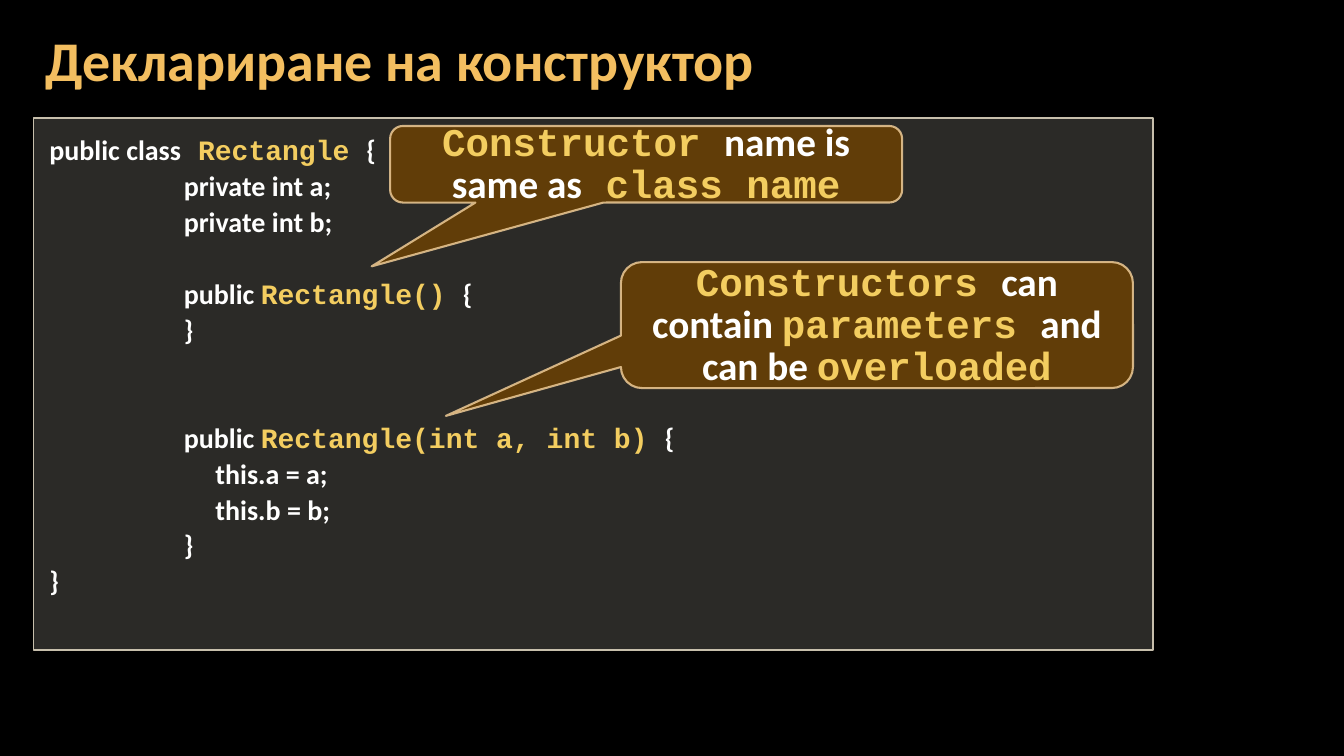
from lxml import etree
from pptx import Presentation
from pptx.dml.color import RGBColor
from pptx.enum.shapes import MSO_SHAPE
from pptx.enum.text import MSO_ANCHOR, PP_ALIGN
from pptx.oxml.ns import qn
from pptx.util import Pt

RECTANGLE = MSO_SHAPE.RECTANGLE
CALLOUT = MSO_SHAPE.ROUNDED_RECTANGULAR_CALLOUT
TOP, MIDDLE = MSO_ANCHOR.TOP, MSO_ANCHOR.MIDDLE
LEFT, CENTER = PP_ALIGN.LEFT, PP_ALIGN.CENTER

TITLE = "Деклариране на конструктор"
CODE = [
    (0, [("public class", "plain"), (" Rectangle ", "key"), ("{", "plain")]),
    (0, [("\tprivate int a;", "plain")]),
    (0, [("\tprivate int b;", "plain")]),
    (1, [("\tpublic ", "plain"), ("Rectangle() ", "key"), ("{", "plain")]),
    (0, [("\t}", "plain")]),
    (2, [("\tpublic ", "plain"), ("Rectangle(int a, int b) ", "key"), ("{", "plain")]),
    (0, [("\t     this.a = a;", "plain")]),
    (0, [("\t     this.b = b;", "plain")]),
    (0, [("\t}", "plain")]),
    (0, [("}", "plain")]),
]
CALLOUTS = [
    {
        "box": (278.64, 90, 365.76, 54.72),
        "pointer": (-0.536, 1.333, 0.167),
        "runs": [("Constructor ", "key"), ("name is same as", "plain"), (" class name", "key")],
    },
    {
        "box": (443.52, 187.2, 365.76, 90),
        "pointer": (-0.842, 0.721, 0.167),
        "runs": [("Constructors ", "key"), ("can contain ", "plain"), ("parameters ", "key"),
                 ("and can be ", "plain"), ("overloaded", "key")],
    },
]
SLIDE_SIZE = (960, 540)
TITLE_BOX = (23.76, 0, 570.24, 90)
CODE_BOX = (23.76, 84.24, 799.92, 380.16)
CODE_TAB = 96
CODE_ROW = 25.7

THEME = {
    "background": "000000",
    "styles": {
        "title": ("Calibri", "F3BE60"),
        "plain": ("Calibri", "FFFFFF"),
        "key": ("Courier New", "F3CD60"),
    },
    "code": {"fill": ("D9D5C7", 20), "line": ("C7BFAC", 100), "width": 1},
    "callout": {"fill": ("643F07", 95), "line": ("F8D49E", 80), "width": 1.5},
    "sizes": {"title": 40, "code": 20, "callout": 28},
}


def points(values):
    return [Pt(value) for value in values]


def paint(fill, color, opacity):
    fill.solid()
    fill.fore_color.rgb = RGBColor.from_string(color)
    if opacity < 100:
        color_element = fill._xPr.find(qn("a:solidFill"))[0]
        etree.SubElement(color_element, qn("a:alpha")).set("val", str(opacity * 1000))


def add_panel(slide, kind, box, look):
    shape = slide.shapes.add_shape(kind, *points(box))
    shape.shadow.inherit = False
    paint(shape.fill, *look["fill"])
    paint(shape.line.fill, *look["line"])
    shape.line.width = Pt(look["width"])
    return shape


def set_frame(text_frame, anchor, side, edge):
    text_frame.word_wrap = True
    text_frame.vertical_anchor = anchor
    text_frame.margin_left = text_frame.margin_right = Pt(side)
    text_frame.margin_top = text_frame.margin_bottom = Pt(edge)


def write(paragraph, runs, size, alignment, spacing):
    paragraph.alignment = alignment
    paragraph.line_spacing = spacing
    for text, style in runs:
        run = paragraph.add_run()
        run.text = text
        name, color = THEME["styles"][style]
        run.font.name = name
        run.font.size = Pt(size)
        run.font.bold = True
        run.font.color.rgb = RGBColor.from_string(color)


def add_tab(paragraph, position):
    properties = paragraph._p.get_or_add_pPr()
    tabs = etree.SubElement(properties, qn("a:tabLst"))
    tab = etree.SubElement(tabs, qn("a:tab"))
    tab.set("pos", str(Pt(position)))
    tab.set("algn", "l")


def add_title(slide):
    text_frame = slide.shapes.add_textbox(*points(TITLE_BOX)).text_frame
    set_frame(text_frame, MIDDLE, 8.64, 2.88)
    write(text_frame.paragraphs[0], [(TITLE, "title")], THEME["sizes"]["title"], LEFT, 0.9)


def add_code(slide):
    text_frame = add_panel(slide, RECTANGLE, CODE_BOX, THEME["code"]).text_frame
    set_frame(text_frame, TOP, 11.52, 8.64)
    for index, (rows_before, runs) in enumerate(CODE):
        paragraph = text_frame.add_paragraph() if index else text_frame.paragraphs[0]
        add_tab(paragraph, CODE_TAB)
        write(paragraph, runs, THEME["sizes"]["code"], LEFT, 1.07)
        if rows_before:
            paragraph.space_before = Pt(rows_before * CODE_ROW)


def add_callout(slide, callout):
    shape = add_panel(slide, CALLOUT, callout["box"], THEME["callout"])
    for index, value in enumerate(callout["pointer"]):
        shape.adjustments[index] = value
    set_frame(shape.text_frame, MIDDLE, 7.2, 3.6)
    write(shape.text_frame.paragraphs[0], callout["runs"], THEME["sizes"]["callout"], CENTER, Pt(30))


def main():
    presentation = Presentation()
    presentation.slide_width, presentation.slide_height = points(SLIDE_SIZE)
    slide = presentation.slides.add_slide(presentation.slide_layouts[6])
    paint(slide.background.fill, THEME["background"], 100)
    add_title(slide)
    add_code(slide)
    for callout in CALLOUTS:
        add_callout(slide, callout)
    presentation.save("out.pptx")


if __name__ == "__main__":
    main()
